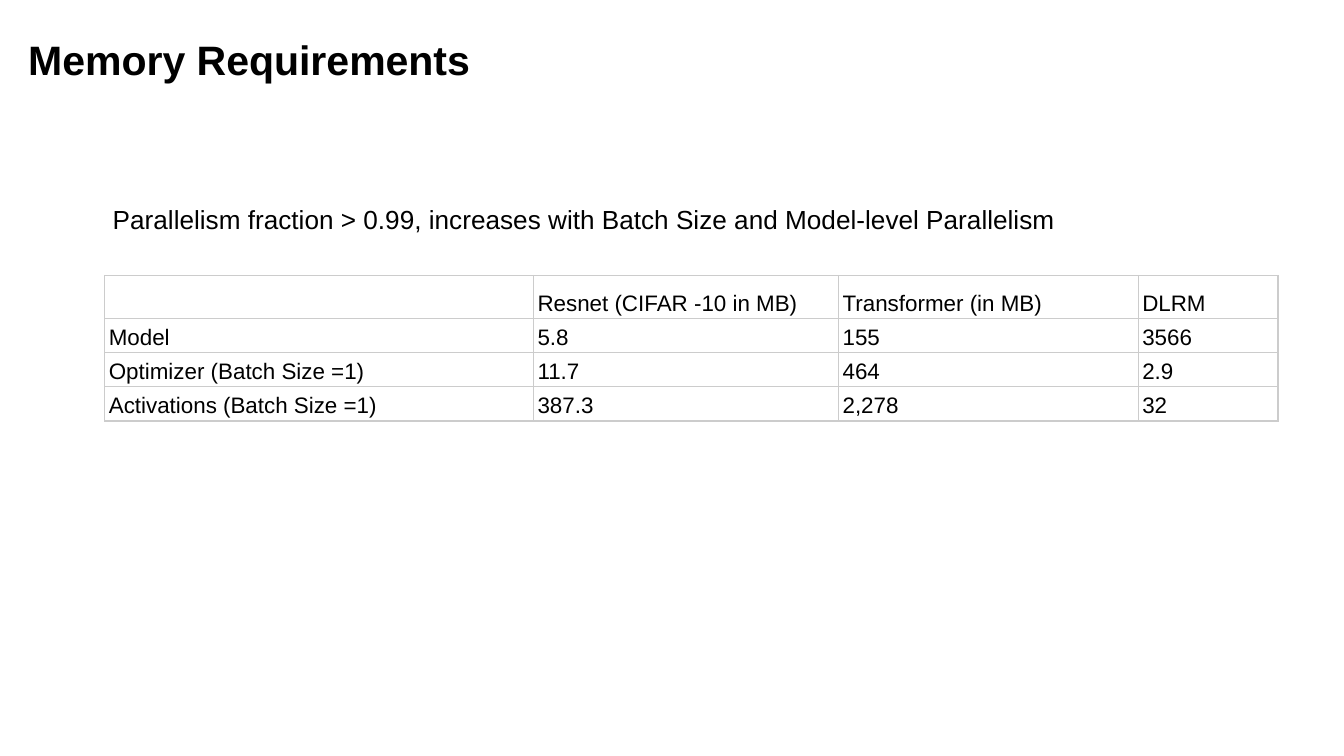
import dataclasses

import lxml.etree
import pptx
import pptx.dml.color
import pptx.enum.text
import pptx.oxml.ns
import pptx.slide
import pptx.table
import pptx.text.text
import pptx.util

Inches = pptx.util.Inches
COLORS = {"text": "000000", "border": "CCCCCC", "background": "FFFFFF"}
FONT = "Arial"
SLIDE_WIDTH = 10
SLIDE_HEIGHT = SLIDE_WIDTH * 9 / 16
COLUMN_WIDTHS = [3.19, 2.27, 2.23, 1.04]
HEADER_HEIGHT = 0.32
BODY_HEIGHT = 0.25


@dataclasses.dataclass
class MemoryRow:
    label: str
    resnet: str
    transformer: str
    dlrm: str


ROWS = [
    MemoryRow("", "Resnet (CIFAR -10 in MB)", "Transformer (in MB)", "DLRM"),
    MemoryRow("Model", "5.8", "155", "3566"),
    MemoryRow("Optimizer (Batch Size =1)", "11.7", "464", "2.9"),
    MemoryRow("Activations (Batch Size =1)", "387.3", "2,278", "32"),
]


def format_text(text_frame: pptx.text.text.TextFrame, size: float, bold: bool = False) -> None:
    for paragraph in text_frame.paragraphs:
        paragraph.alignment = pptx.enum.text.PP_ALIGN.LEFT
        for font in [paragraph.font] + [run.font for run in paragraph.runs]:
            font.name = FONT
            font.size = pptx.util.Pt(size)
            font.bold = bold
            font.color.rgb = pptx.dml.color.RGBColor.from_string(COLORS["text"])


def fill_text_box(text_frame: pptx.text.text.TextFrame, text: str, size: float, bold: bool = False) -> None:
    text_frame.text = text
    text_frame.word_wrap = True
    text_frame.auto_size = pptx.enum.text.MSO_AUTO_SIZE.NONE
    text_frame.vertical_anchor = pptx.enum.text.MSO_ANCHOR.TOP
    text_frame.margin_left = text_frame.margin_right = Inches(0.1)
    text_frame.margin_top = text_frame.margin_bottom = Inches(0.1)
    format_text(text_frame, size, bold)


def add_borders(cell: pptx.table._Cell) -> None:
    properties = cell._tc.get_or_add_tcPr()
    for position, side in enumerate(["lnL", "lnR", "lnT", "lnB"]):
        line = lxml.etree.Element(pptx.oxml.ns.qn(f"a:{side}"), w=str(pptx.util.Pt(0.75)))
        solid_fill = lxml.etree.SubElement(line, pptx.oxml.ns.qn("a:solidFill"))
        lxml.etree.SubElement(solid_fill, pptx.oxml.ns.qn("a:srgbClr"), val=COLORS["border"])
        properties.insert(position, line)


def fill_cell(cell: pptx.table._Cell, text: str) -> None:
    cell.text_frame.text = text
    cell.vertical_anchor = pptx.enum.text.MSO_ANCHOR.BOTTOM
    cell.margin_left = cell.margin_right = Inches(0.03)
    cell.margin_top = cell.margin_bottom = Inches(0.02)
    cell.fill.background()
    format_text(cell.text_frame, 12)
    cell.text_frame.paragraphs[0].line_spacing = 1.15
    add_borders(cell)


def add_memory_table(slide: pptx.slide.Slide, rows: list[MemoryRow]) -> None:
    heights = [HEADER_HEIGHT] + [BODY_HEIGHT] * (len(rows) - 1)
    table = slide.shapes.add_table(
        len(rows), len(COLUMN_WIDTHS), Inches(0.78), Inches(2.05),
        Inches(sum(COLUMN_WIDTHS)), Inches(sum(heights)),
    ).table
    table.first_row = False
    table.horz_banding = False
    for column, width in zip(table.columns, COLUMN_WIDTHS):
        column.width = Inches(width)
    for table_row, height, memory_row in zip(table.rows, heights, rows):
        table_row.height = Inches(height)
        for cell, text in zip(table_row.cells, dataclasses.astuple(memory_row)):
            fill_cell(cell, text)


def main() -> None:
    presentation = pptx.Presentation()
    presentation.slide_width = Inches(SLIDE_WIDTH)
    presentation.slide_height = Inches(SLIDE_HEIGHT)
    slide = presentation.slides.add_slide(presentation.slide_layouts[5])
    slide.background.fill.solid()
    slide.background.fill.fore_color.rgb = pptx.dml.color.RGBColor.from_string(COLORS["background"])

    title = slide.shapes.title
    title.left, title.top, title.width, title.height = map(Inches, (0.11, 0.16, 9.32, 0.87))
    fill_text_box(title.text_frame, "Memory Requirements", 22, bold=True)

    add_memory_table(slide, ROWS)

    summary = slide.shapes.add_textbox(Inches(0.74), Inches(1.41), Inches(8.69), Inches(0.44))
    fill_text_box(
        summary.text_frame,
        "Parallelism fraction > 0.99, increases with Batch Size and Model-level Parallelism",
        14,
    )
    presentation.save("out.pptx")


if __name__ == "__main__":
    main()
